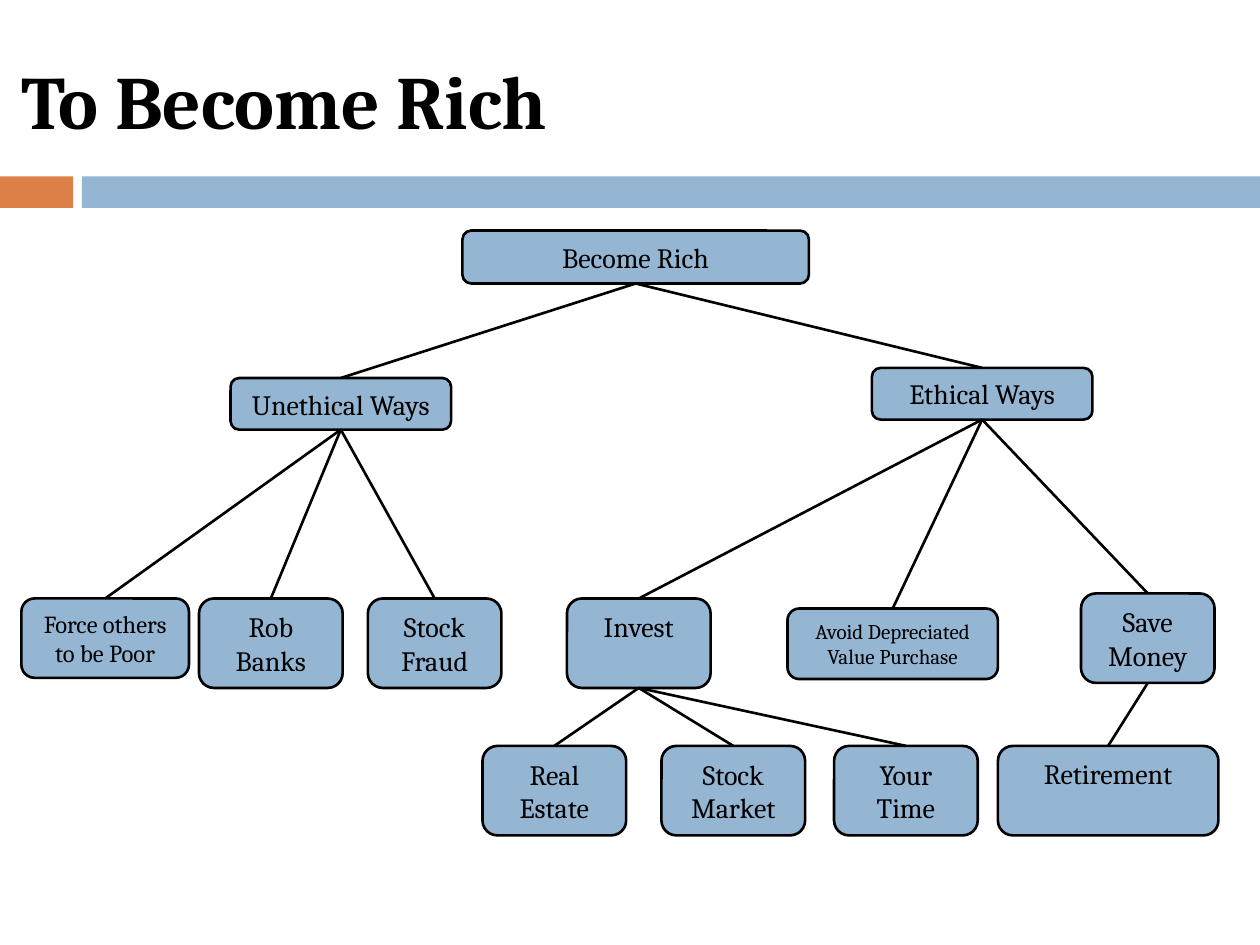
from lxml.etree import SubElement
from pptx import Presentation
from pptx.dml.color import RGBColor
from pptx.enum.shapes import MSO_CONNECTOR, MSO_SHAPE
from pptx.enum.text import MSO_ANCHOR, PP_ALIGN
from pptx.oxml.ns import qn
from pptx.util import Inches, Pt

TITLE = "To Become Rich"
NODES = {
    "root": ("Become Rich", 3.67, 1.83, 2.75, 0.42),
    "unethical": ("Unethical Ways", 1.83, 3, 1.75, 0.41),
    "ethical": ("Ethical Ways", 6.92, 2.92, 1.75, 0.41),
    "force": ("Force others to be Poor", 0.17, 4.75, 1.33, 0.63),
    "rob": ("Rob\nBanks", 1.58, 4.75, 1.14, 0.71),
    "fraud": ("Stock\nFraud", 2.92, 4.75, 1.06, 0.71),
    "invest": ("Invest", 4.5, 4.75, 1.14, 0.71),
    "avoid": ("Avoid Depreciated Value Purchase", 6.25, 4.83, 1.67, 0.56),
    "save": ("Save Money", 8.58, 4.71, 1.06, 0.71),
    "estate": ("Real Estate", 3.83, 5.92, 1.14, 0.71),
    "market": ("Stock Market", 5.25, 5.92, 1.14, 0.71),
    "time": ("Your Time", 6.62, 5.92, 1.14, 0.71),
    "retirement": ("Retirement", 7.92, 5.92, 1.75, 0.71),
}
FORMATS = {
    "force": {"size": "small"},
    "avoid": {"size": "tiny"},
    "invest": {"anchor": MSO_ANCHOR.TOP},
    "retirement": {"anchor": MSO_ANCHOR.TOP},
}
TREE = {
    "root": ["unethical", "ethical"],
    "unethical": ["force", "rob", "fraud"],
    "ethical": ["invest", "avoid", "save"],
    "invest": ["estate", "market", "time"],
    "save": ["retirement"],
}
BANDS = [("accent", 0, 0.58), ("node", 0.65, 9.35)]
THEME = {
    "font": "Cambria",
    "colors": {"accent": "DD8047", "node": "94B6D2", "ink": "000000"},
    "sizes": {"title": 43, "body": 16, "small": 14, "tiny": 12},
    "line": 1.5,
}


def color(name):
    return RGBColor.from_string(THEME["colors"][name])


def write(sp, text, size="body", bold=False, align=PP_ALIGN.CENTER, anchor=MSO_ANCHOR.MIDDLE):
    tf = sp.text_frame
    tf.word_wrap = True
    tf.vertical_anchor = anchor
    tf.text = text
    for p in tf.paragraphs:
        p.alignment = align
        for r in p.runs:
            r.font.name = THEME["font"]
            r.font.size = Pt(THEME["sizes"][size])
            r.font.bold = bold
            r.font.color.rgb = color("ink")


def add_box(s, kind, fill, *box):
    sp = s.shapes.add_shape(kind, *map(Inches, box))
    sp.shadow.inherit = False
    sp.fill.solid()
    sp.fill.fore_color.rgb = color(fill)
    sp.line.fill.background()
    return sp


def add_node(s, name):
    text, *box = NODES[name]
    sp = add_box(s, MSO_SHAPE.ROUNDED_RECTANGLE, "node", *box)
    sp.line.color.rgb = color("ink")
    sp.line.width = Pt(THEME["line"])
    write(sp, text, **FORMATS.get(name, {}))
    return sp


def join(s, parent, child):
    c = s.shapes.add_connector(MSO_CONNECTOR.STRAIGHT, 0, 0, 0, 0)
    c.begin_connect(parent, 2)
    c.end_connect(child, 0)
    c.line.color.rgb = color("ink")
    c.line.width = Pt(THEME["line"])
    SubElement(c._element.spPr, qn("a:effectLst"))


def main():
    prs = Presentation()
    prs.slide_width, prs.slide_height = Inches(10), Inches(7.5)
    s = prs.slides.add_slide(prs.slide_layouts[6])
    for fill, left, width in BANDS:
        add_box(s, MSO_SHAPE.RECTANGLE, fill, left, 1.4, width, 0.25)
    title = s.shapes.add_textbox(*map(Inches, (0.07, 0.25, 8.92, 1.08)))
    write(title, TITLE, size="title", bold=True, align=PP_ALIGN.LEFT)
    nodes = {name: add_node(s, name) for name in NODES}
    for parent, children in TREE.items():
        for child in children:
            join(s, nodes[parent], nodes[child])
    prs.save("out.pptx")


if __name__ == "__main__":
    main()
